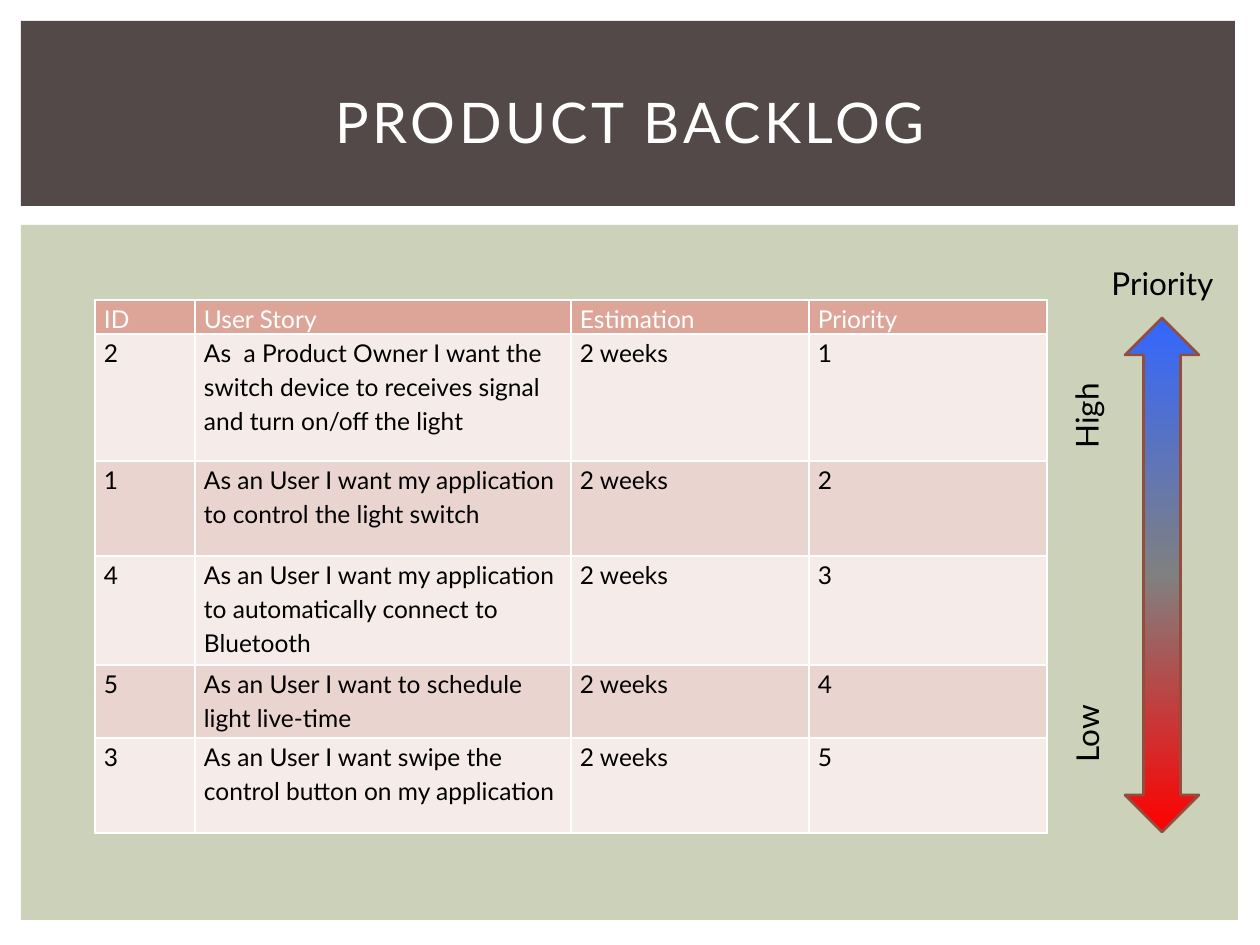
from dataclasses import dataclass

from lxml.etree import SubElement
from pptx import Presentation
from pptx.dml.color import RGBColor
from pptx.enum.shapes import MSO_SHAPE
from pptx.enum.text import MSO_ANCHOR, PP_ALIGN
from pptx.oxml.ns import qn
from pptx.util import Emu, Pt

PIXELS_PER_INCH = 126
FONT = "Lato"
COLORS = {
    "white": "FFFFFF", "black": "000000", "banner": "534949", "panel": "CCD1B9",
    "header": "DDA597", "light_row": "F5EBE9", "dark_row": "EAD4D0",
    "arrow_line": "924E3C", "high": "3366FF", "middle": "808080", "low": "FF0000",
}
COLUMN_WIDTHS = (100, 376, 238, 238)
HEADINGS = ("ID", "User Story", "Estimation", "Priority")
ESTIMATION = "2 weeks"


@dataclass(frozen=True)
class Box:
    """A place on the slide, in pixels."""
    left: int
    top: int
    width: int
    height: int


@dataclass(frozen=True)
class Label:
    """A line of text with its place and look."""
    text: str
    box: Box
    size: int = 18
    color: str = "black"
    align: PP_ALIGN = PP_ALIGN.LEFT
    anchor: MSO_ANCHOR = MSO_ANCHOR.TOP
    rotation: int = 0
    spacing: int = 0


@dataclass(frozen=True)
class Story:
    """A backlog entry, listed in order of priority."""
    number: int
    text: str
    height: int


LABELS = (
    Label("PRODUCT BACKLOG", Box(53, 49, 1155, 145), 32, "white",
          PP_ALIGN.CENTER, MSO_ANCHOR.MIDDLE, spacing=200),
    Label("Priority", Box(1047, 258, 231, 53), align=PP_ALIGN.CENTER),
    Label("High", Box(1023, 373, 126, 50), rotation=270),
    Label("Low", Box(1014, 677, 145, 50), rotation=270),
)
STORIES = (
    Story(2, "As  a Product Owner I want the switch device to receives signal "
             "and turn on/off the light", 127),
    Story(1, "As an User I want my application to control the light switch", 95),
    Story(4, "As an User I want my application to automatically connect to "
             "Bluetooth", 109),
    Story(5, "As an User I want to schedule light live-time", 73),
    Story(3, "As an User I want swipe the control button on my application", 95),
)


def px(pixels: int) -> Emu:
    """Turn pixels into EMU."""
    return Emu(round(pixels * 914400 / PIXELS_PER_INCH))


def place(box: Box) -> tuple:
    """Give the four lengths of a box in EMU."""
    return px(box.left), px(box.top), px(box.width), px(box.height)


def rgb(name: str) -> RGBColor:
    """Look up a colour."""
    return RGBColor.from_string(COLORS[name])


def style_font(font, size: int, color: str) -> None:
    """Set typeface, size and colour."""
    font.name = FONT
    font.size = Pt(size)
    font.color.rgb = rgb(color)


def add_band(slide, box: Box, color: str) -> None:
    """Draw a plain background rectangle."""
    band = slide.shapes.add_shape(MSO_SHAPE.RECTANGLE, *place(box))
    band.shadow.inherit = False
    band.fill.solid()
    band.fill.fore_color.rgb = rgb(color)
    band.line.fill.background()


def add_label(slide, label: Label) -> None:
    """Draw a line of text."""
    holder = slide.shapes.add_textbox(*place(label.box))
    holder.rotation = label.rotation
    frame = holder.text_frame
    frame.word_wrap = True
    frame.vertical_anchor = label.anchor
    frame.text = label.text
    paragraph = frame.paragraphs[0]
    paragraph.alignment = label.align
    font = paragraph.runs[0].font
    style_font(font, label.size, label.color)
    if label.spacing:
        paragraph.runs[0]._r.get_or_add_rPr().set("spc", str(label.spacing))


def add_priority_arrow(slide, box: Box) -> None:
    """Draw the double arrow that fades from high to low."""
    arrow = slide.shapes.add_shape(MSO_SHAPE.UP_DOWN_ARROW, *place(box))
    arrow.shadow.inherit = False
    arrow.line.color.rgb = rgb("arrow_line")
    arrow.line.width = Pt(1.5)
    arrow.fill.gradient()
    arrow.fill.gradient_angle = 270
    stops = arrow._element.spPr.find(".//" + qn("a:gsLst"))
    for stop in list(stops):
        stops.remove(stop)
    for position, name in ((0, "high"), (50, "middle"), (100, "low")):
        stop = SubElement(stops, qn("a:gs"), pos=str(position * 1000))
        SubElement(stop, qn("a:srgbClr"), val=COLORS[name])


def fill_cell(cell, text: str, background: str, color: str) -> None:
    """Write a table cell with white borders."""
    properties = cell._tc.get_or_add_tcPr()
    for side in ("lnL", "lnR", "lnT", "lnB"):
        border = SubElement(properties, qn(f"a:{side}"), w=str(Pt(1)))
        solid = SubElement(border, qn("a:solidFill"))
        SubElement(solid, qn("a:srgbClr"), val=COLORS["white"])
    cell.fill.solid()
    cell.fill.fore_color.rgb = rgb(background)
    cell.margin_left = cell.margin_right = px(9)
    cell.margin_top = cell.margin_bottom = 0
    cell.text = text
    paragraph = cell.text_frame.paragraphs[0]
    paragraph.line_spacing = 1.15
    style_font(paragraph.runs[0].font, 14, color)


def add_backlog(slide, left: int, top: int, header_height: int) -> None:
    """Draw the table of user stories."""
    heights = [header_height] + [story.height for story in STORIES]
    rows = [HEADINGS] + [
        (str(story.number), story.text, ESTIMATION, str(priority))
        for priority, story in enumerate(STORIES, 1)
    ]
    box = Box(left, top, sum(COLUMN_WIDTHS), sum(heights))
    backlog = slide.shapes.add_table(len(rows), len(HEADINGS), *place(box)).table
    for column, width in zip(backlog.columns, COLUMN_WIDTHS):
        column.width = px(width)
    for index, (height, texts) in enumerate(zip(heights, rows)):
        backlog.rows[index].height = px(height)
        background = "light_row" if index % 2 else "dark_row"
        color = "black"
        if index == 0:
            background, color = "header", "white"
        for position, text in enumerate(texts):
            fill_cell(backlog.cell(index, position), text, background, color)


def main() -> None:
    """Build the slide and save it."""
    deck = Presentation()
    deck.slide_width, deck.slide_height = px(1260), px(945)
    slide = deck.slides.add_slide(deck.slide_layouts[6])
    add_band(slide, Box(21, 225, 1217, 695), "panel")
    add_band(slide, Box(21, 21, 1214, 185), "banner")
    add_priority_arrow(slide, Box(1125, 318, 74, 514))
    for label in LABELS:
        add_label(slide, label)
    add_backlog(slide, 95, 300, 34)
    deck.save("out.pptx")


main()
